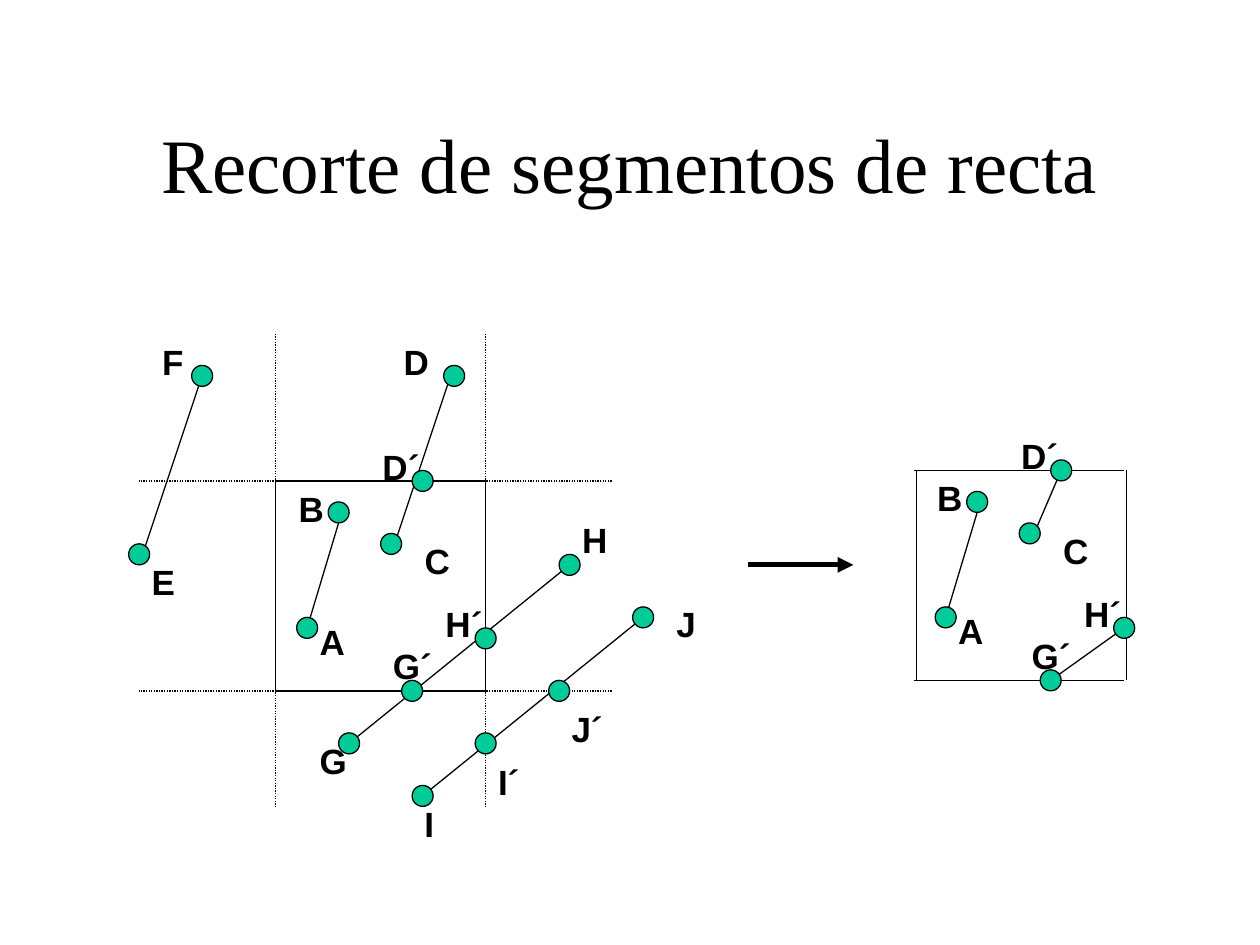
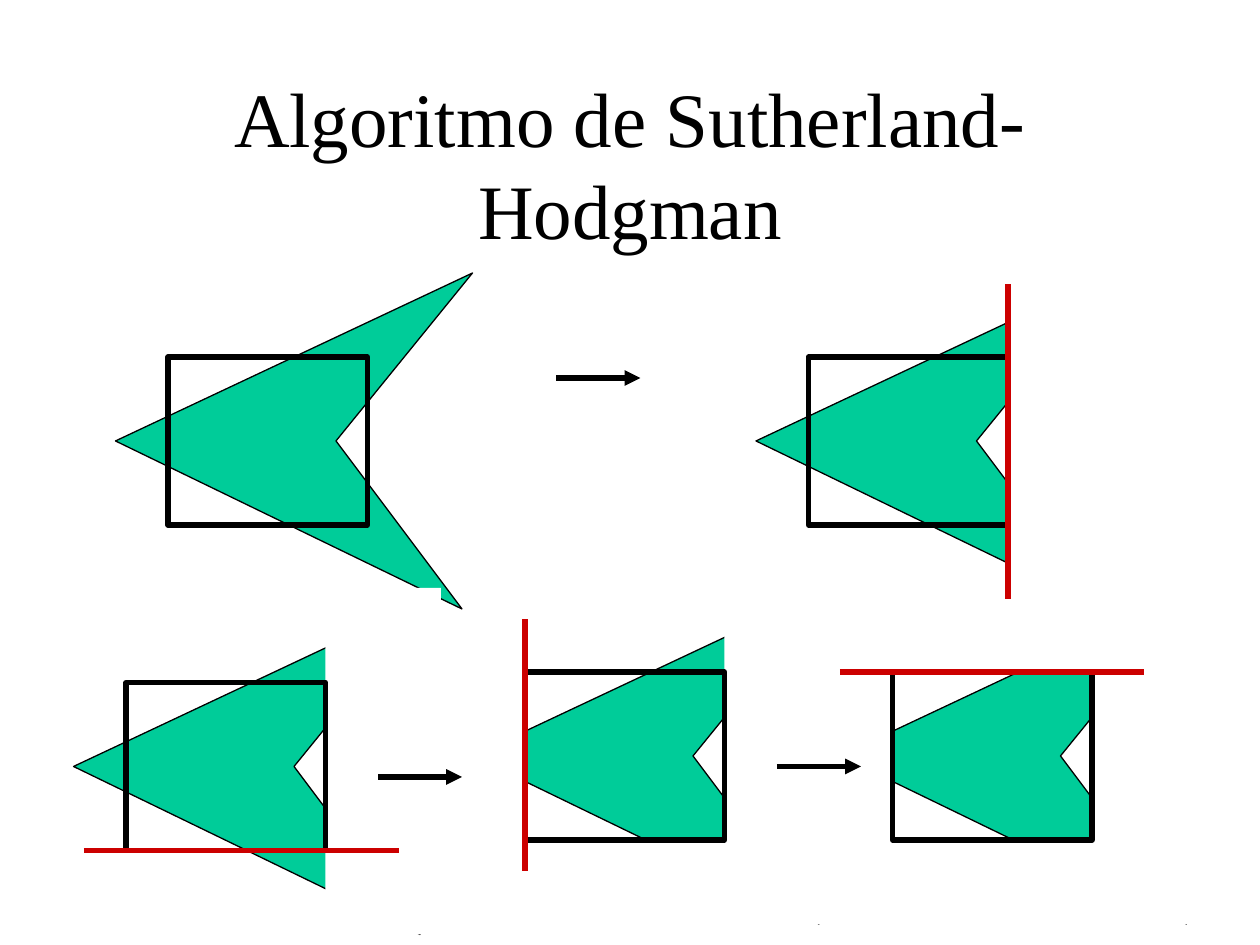
import pptx
import pptx.dml.color
import pptx.enum.dml
import pptx.enum.shapes
import pptx.enum.text
import pptx.oxml.ns
import pptx.util
from lxml import etree

Pt = pptx.util.Pt
RGBColor = pptx.dml.color.RGBColor
MSO_SHAPE = pptx.enum.shapes.MSO_SHAPE
qn = pptx.oxml.ns.qn

BLACK = RGBColor(0x00, 0x00, 0x00)
WHITE = RGBColor(0xFF, 0xFF, 0xFF)
GREEN = RGBColor(0x00, 0xCC, 0x99)
RED = RGBColor(0xCC, 0x00, 0x00)
TITLE_FONT, LABEL_FONT = "Times New Roman", "Arial"
THIN, THICK = 0.75, 3

DOT = 12
SIDE = 120
POINTS = {
    "A": ((18, 84), (18, 76)),
    "B": ((36, 18), (6, 0)),
    "C": ((66, 36), (78, 30)),
    "D": ((102, -60), (66, -84)),
    "D´": ((84, 0), (54, -24)),
    "E": ((-78, 42), (-78, 42)),
    "F": ((-42, -60), (-72, -84)),
    "G": ((42, 150), (18, 144)),
    "G´": ((78, 120), (60, 90)),
    "H": ((168, 48), (168, 18)),
    "H´": ((120, 90), (90, 66)),
    "I": ((84, 180), (78, 180)),
    "I´": ((120, 150), (120, 156)),
    "J": ((210, 78), (222, 66)),
    "J´": ((162, 120), (162, 126)),
}
LETTER_WIDTHS = {"E": 13.34, "F": 12.22, "G": 15.56, "I": 5.56, "J": 11.12, "´": 6.66}
ALL_SEGMENTS = [("F", 0, "E", 6), ("B", 6, "A", 0), ("D", -6, "C", 6),
                ("H", 0, "G", 0), ("J", 0, "I", 0)]
CLIPPED_SEGMENTS = [("B", 6, "A", 0), ("D´", 0, "C", 6), ("H´", 0, "G´", 0)]
CLIPPED_NAMES = ["A", "B", "C", "D´", "G´", "H´"]

ARROWHEAD_POLYGON = [(0, 96), (204, 0), (126, 96), (198, 192)]
RIGHT_MASK = (144, -6, 66, 198)
TALL_RIGHT_MASK = (144, -12, 102, 222)
BOTTOM_MASK = (6, 144, 162, 60)
LEFT_MASK = (-6, 48, 36, 102)
TOP_MASK = (60, 12, 96, 36)
STAGES = [
    (66, 156, [], None),
    (432, 156, [TALL_RIGHT_MASK], (144, 186, 144, 6)),
    (270, 336, [RIGHT_MASK, BOTTOM_MASK, LEFT_MASK], (30, 18, 30, 162)),
    (480, 336, [RIGHT_MASK, BOTTOM_MASK, LEFT_MASK, TOP_MASK], (0, 48, 174, 48)),
    (42, 342, [RIGHT_MASK], (6, 144, 186, 144)),
]
STAGE_ARROWS = [(318, 216), (216, 444), (444, 438)]


def add_line(slide, x1, y1, x2, y2, color=BLACK, width=THIN, dotted=False, arrow=False):
    """Draw a straight line, dotted or with an arrowhead if asked."""
    line = slide.shapes.add_connector(
        pptx.enum.shapes.MSO_CONNECTOR.STRAIGHT, Pt(x1), Pt(y1), Pt(x2), Pt(y2))
    line.line.color.rgb = color
    line.line.width = Pt(width)
    if dotted:
        line.line.dash_style = pptx.enum.dml.MSO_LINE.ROUND_DOT
    if arrow:
        etree.SubElement(line.line._get_or_add_ln(), qn("a:tailEnd"), type="triangle")
    etree.SubElement(line._element.spPr, qn("a:effectLst"))


def format_shape(sp, fill=None, width=None):
    """Set a shape's fill and black outline, leaving out what is not given."""
    sp.shadow.inherit = False
    if fill is None:
        sp.fill.background()
    else:
        sp.fill.solid()
        sp.fill.fore_color.rgb = fill
    if width is None:
        sp.line.fill.background()
    else:
        sp.line.color.rgb = BLACK
        sp.line.width = Pt(width)


def add_preset(slide, kind, left, top, width, height, fill=None, outline=None):
    """Draw a preset shape in the given box."""
    sp = slide.shapes.add_shape(kind, Pt(left), Pt(top), Pt(width), Pt(height))
    format_shape(sp, fill, outline)


def format_run(r, font, size, bold=False):
    """Set the font of a run."""
    r.font.name = font
    r.font.size = Pt(size)
    r.font.bold = bold
    r.font.color.rgb = BLACK


def add_titled_slide(prs, title):
    """Add a slide with the shared title style."""
    slide = prs.slides.add_slide(prs.slide_layouts[5])
    sp = slide.shapes.title
    sp.left, sp.top, sp.width, sp.height = Pt(54), Pt(48), Pt(612), Pt(90)
    tf = sp.text_frame
    tf.text = title
    tf.word_wrap = True
    tf.auto_size = pptx.enum.text.MSO_AUTO_SIZE.NONE
    tf.vertical_anchor = pptx.enum.text.MSO_ANCHOR.MIDDLE
    p = tf.paragraphs[0]
    p.alignment = pptx.enum.text.PP_ALIGN.CENTER
    format_run(p.runs[0], TITLE_FONT, 44)
    return slide


def add_label(slide, text, left, top):
    """Write a point's name in a box as wide as its letters."""
    width = 14.4 + sum(LETTER_WIDTHS.get(letter, 14.44) for letter in text)
    sp = slide.shapes.add_textbox(Pt(left), Pt(top), Pt(width), Pt(31.5))
    tf = sp.text_frame
    tf.text = text
    tf.word_wrap = False
    tf.auto_size = pptx.enum.text.MSO_AUTO_SIZE.SHAPE_TO_FIT_TEXT
    format_run(tf.paragraphs[0].runs[0], LABEL_FONT, 20, bold=True)


def draw_guides(slide, left, top):
    """Draw the dotted extensions of the window's sides."""
    for offset in (0, SIDE):
        add_line(slide, left + offset, top - 84, left + offset, top + 186, dotted=True)
        add_line(slide, left + 192, top + offset, left - 78, top + offset, dotted=True)


def draw_segments(slide, left, top, names, segments, side_shift=0):
    """Draw the clipping window with its segments, end points and labels."""
    for offset in (0, SIDE):
        x, y = left + offset + side_shift, top + offset
        add_line(slide, left, y, left + SIDE, y)
        add_line(slide, x, top, x, top + SIDE)
    for start, start_dy, end, end_dy in segments:
        (x1, y1), (x2, y2) = POINTS[start][0], POINTS[end][0]
        add_line(slide, left + x1, top + y1 + start_dy, left + x2, top + y2 + end_dy)
    for name in names:
        x, y = POINTS[name][0]
        add_preset(slide, MSO_SHAPE.OVAL, left + x - DOT / 2, top + y - DOT / 2,
                   DOT, DOT, GREEN, THIN)
    for name in names:
        x, y = POINTS[name][1]
        add_label(slide, name, left + x, top + y)


def draw_stage(slide, left, top, masks, cut):
    """Draw the polygon, what is cut off it, the window and the cutting edge."""
    corners = [(Pt(left + x), Pt(top + y)) for x, y in ARROWHEAD_POLYGON]
    builder = slide.shapes.build_freeform(*corners[0])
    builder.add_line_segments(corners[1:], close=True)
    format_shape(builder.convert_to_shape(), GREEN, THIN)
    for x, y, width, height in masks:
        add_preset(slide, MSO_SHAPE.RECTANGLE, left + x, top + y, width, height, WHITE)
    add_preset(slide, MSO_SHAPE.RECTANGLE, left + 30, top + 48, 114, 96, outline=THICK)
    if cut:
        x1, y1, x2, y2 = cut
        add_line(slide, left + x1, top + y1, left + x2, top + y2, RED, THICK)


def build_segment_slide(prs):
    """Build the slide on clipping line segments."""
    slide = add_titled_slide(prs, "Recorte de segmentos de recta")
    draw_guides(slide, 157.5, 274.8)
    draw_segments(slide, 157.5, 274.8, POINTS, ALL_SEGMENTS)
    add_line(slide, 427.6, 322.8, 487.6, 322.8, width=THICK, arrow=True)
    draw_segments(slide, 522.4, 268.8, CLIPPED_NAMES, CLIPPED_SEGMENTS, side_shift=1.2)


def build_polygon_slide(prs):
    """Build the slide on clipping a polygon edge by edge."""
    slide = add_titled_slide(prs, "Algoritmo de Sutherland-Hodgman")
    for stage in STAGES:
        draw_stage(slide, *stage)
    for x, y in STAGE_ARROWS:
        add_line(slide, x, y, x + 48, y, width=THICK, arrow=True)


def main():
    """Build and save the presentation."""
    prs = pptx.Presentation()
    prs.slide_width, prs.slide_height = Pt(720), Pt(540)
    build_segment_slide(prs)
    build_polygon_slide(prs)
    prs.save("out.pptx")


if __name__ == "__main__":
    main()
